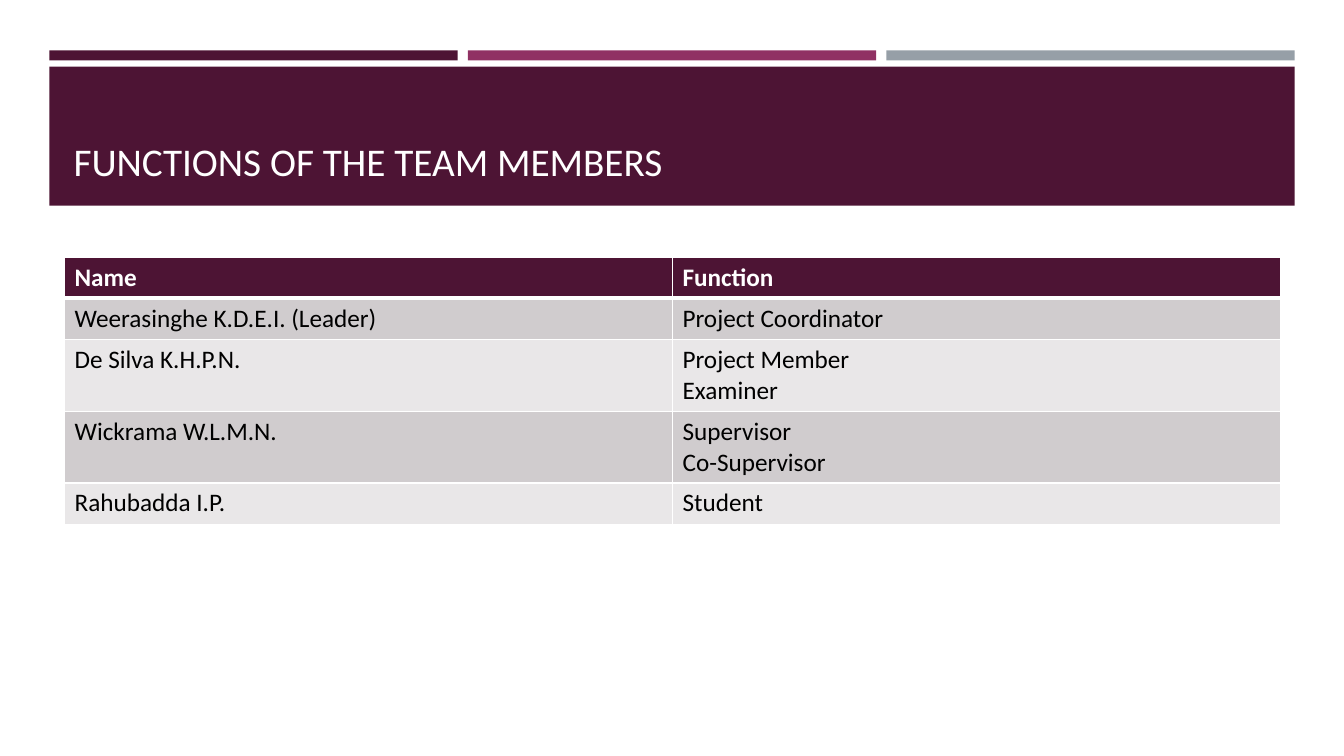
"""Build the slide that lists the functions of the team members."""
from lxml.etree import SubElement
from pptx import Presentation
from pptx.dml.color import RGBColor
from pptx.enum.shapes import MSO_SHAPE
from pptx.enum.text import MSO_ANCHOR, MSO_AUTO_SIZE, PP_ALIGN
from pptx.oxml.ns import qn
from pptx.util import Inches, Pt

PLUM, MAGENTA, GREY, WHITE, BLACK = "4D1434", "903163", "969FA7", "FFFFFF", "000000"
ROW_FILLS = ["D0CCCE", "E9E7E8"]
FONT = "Calibri"
MARGIN, BAR_WIDTH, BAR_STEP = 0.49, 4.05, 4.15
TABLE_WIDTH, LINE_HEIGHT, ROW_HEIGHT = 12.06, 0.3, 0.41
MEMBERS = [
    ("Name", "Function"),
    ("Weerasinghe K.D.E.I. (Leader)", "Project Coordinator"),
    ("De Silva K.H.P.N.", "Project Member\nExaminer"),
    ("Wickrama W.L.M.N.", "Supervisor\nCo-Supervisor"),
    ("Rahubadda I.P.", "Student"),
]


def paint(fill, color):
    fill.solid()
    fill.fore_color.rgb = RGBColor.from_string(color)


def add_border(cell, side, width):
    line = SubElement(cell._tc.get_or_add_tcPr(), qn(f"a:ln{side}"), w=str(Pt(width)))
    solid = SubElement(line, qn("a:solidFill"))
    SubElement(solid, qn("a:srgbClr"), val=WHITE)


deck = Presentation()
deck.slide_width, deck.slide_height = Inches(13.33), Inches(7.5)
page = deck.slides.add_slide(deck.slide_layouts[5])

bands = [(MARGIN + column * BAR_STEP, 0.5, BAR_WIDTH, 0.1, color)
         for column, color in enumerate([PLUM, MAGENTA, GREY])]
bands.append((MARGIN, 0.66, 2 * BAR_STEP + BAR_WIDTH, 1.38, PLUM))
for left, top, width, height, color in bands:
    band = page.shapes.add_shape(MSO_SHAPE.RECTANGLE, Inches(left), Inches(top),
                                 Inches(width), Inches(height))
    band.shadow.inherit = False
    paint(band.fill, color)
    band.line.fill.background()

title = page.shapes.title
title.left, title.top = Inches(0.63), Inches(0.8)
title.width, title.height = Inches(TABLE_WIDTH), Inches(1.08)
title.element.getparent().append(title.element)
frame = title.text_frame
frame.text = "FUNCTIONS OF THE TEAM MEMBERS"
frame.word_wrap = True
frame.auto_size = MSO_AUTO_SIZE.NONE
frame.vertical_anchor = MSO_ANCHOR.BOTTOM
para = frame.paragraphs[0]
para.alignment = PP_ALIGN.LEFT
para.font.name, para.font.size = FONT, Pt(28)
paint(para.font.fill, WHITE)

table = page.shapes.add_table(len(MEMBERS), 2, Inches(0.64), Inches(2.55),
                              Inches(TABLE_WIDTH), Inches(ROW_HEIGHT * len(MEMBERS))).table
for row, member in enumerate(MEMBERS):
    extra_lines = max(text.count("\n") for text in member)
    table.rows[row].height = Inches(ROW_HEIGHT + LINE_HEIGHT * extra_lines)
    header = row == 0
    for column, text in enumerate(member):
        cell = table.cell(row, column)
        cell.text = text
        for side, width in [("L", 1), ("R", 1), ("T", 3 if row == 1 else 1), ("B", 3 if header else 1)]:
            add_border(cell, side, width)
        paint(cell.fill, PLUM if header else ROW_FILLS[(row - 1) % 2])
        for para in cell.text_frame.paragraphs:
            para.font.name, para.font.size, para.font.bold = FONT, Pt(18), header
            paint(para.font.fill, WHITE if header else BLACK)

deck.save("out.pptx")
